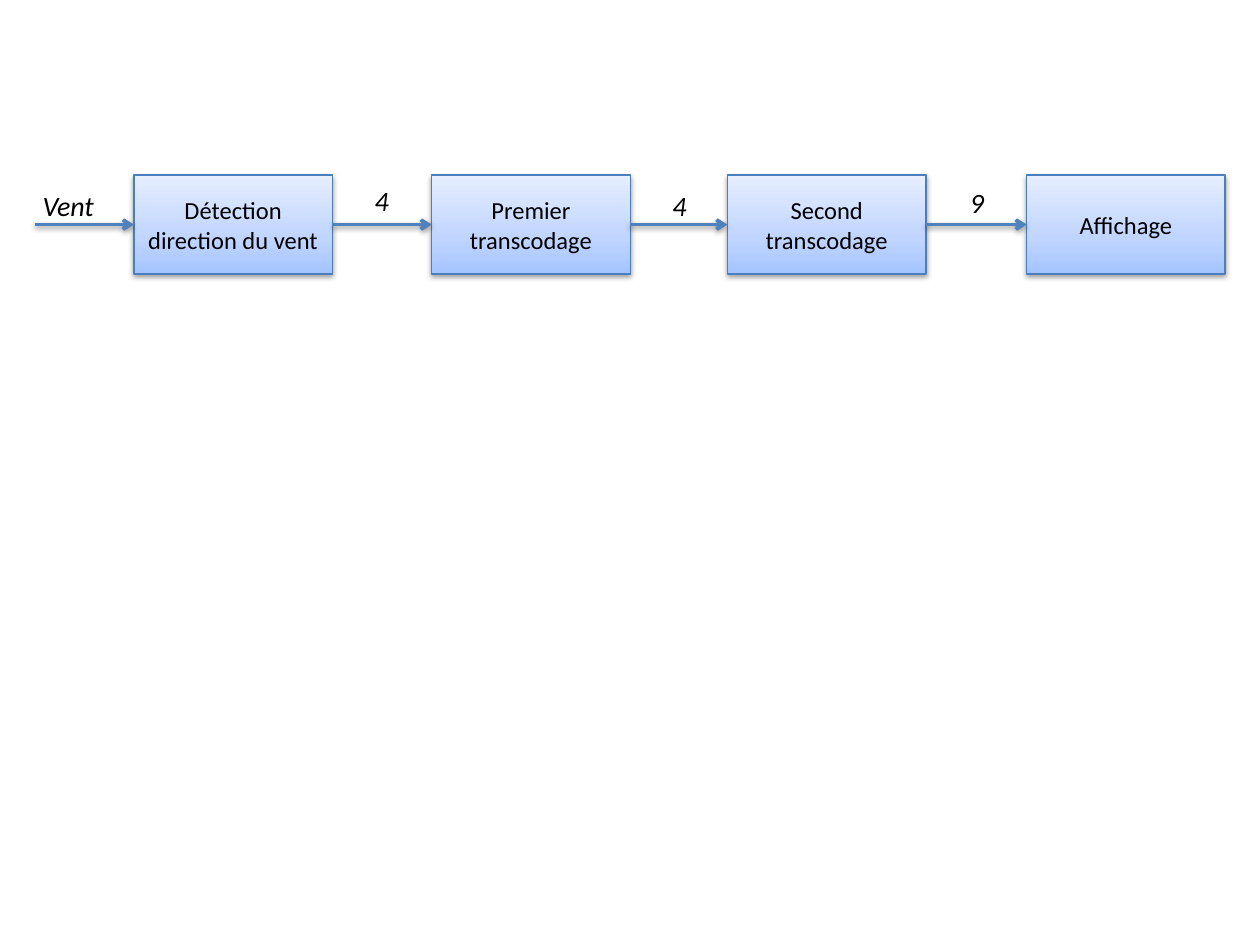
from lxml.etree import SubElement
from pptx import Presentation
from pptx.dml.color import RGBColor as Color
from pptx.enum.shapes import MSO_CONNECTOR as Connector, MSO_SHAPE as Shape
from pptx.enum.text import MSO_ANCHOR as Anchor, MSO_AUTO_SIZE as AutoSize, PP_ALIGN as Align
from pptx.oxml.ns import qn
from pptx.util import Pt

THEME = {
    "font": "Calibri",
    "text": "000000",
    "box_size": 14,
    "label_size": 16,
    "box_line": "4B7EBC",
    "arrow": "4F81BD",
    "shadow": "000000",
    "gradient": [(0, "A4C4FF"), (35, "BFD4FF"), (100, "E6EEFF")],
}


def add_shadow(shape):
    effects = SubElement(shape._element.spPr, qn("a:effectLst"))
    shadow = SubElement(effects, qn("a:outerShdw"), blurRad=str(Pt(3.15)),
                        dist=str(Pt(1.57)), dir="5400000", rotWithShape="0")
    color = SubElement(shadow, qn("a:srgbClr"), val=THEME["shadow"])
    SubElement(color, qn("a:alpha"), val="38000")


def write(shape, text, size, align, italic=False):
    paragraph = shape.text_frame.paragraphs[0]
    paragraph.alignment = align
    run = paragraph.add_run()
    run.text = text
    run.font.name = THEME["font"]
    run.font.size = Pt(size)
    run.font.italic = italic
    run.font.color.rgb = Color.from_string(THEME["text"])


presentation = Presentation()
presentation.slide_width = Pt(720)
presentation.slide_height = Pt(540)
slide = presentation.slides.add_slide(presentation.slide_layouts[6])

BOX_TOP, BOX_WIDTH, BOX_HEIGHT = 100, 113.4, 56.7
ARROW_Y = BOX_TOP + BOX_HEIGHT / 2
LABEL_WIDTH, LABEL_HEIGHT = 102, 26.6

stages = [
    (76.5, "Détection direction du vent"),
    (246.7, "Premier transcodage"),
    (415.7, "Second transcodage"),
    (586.7, "Affichage"),
]
labels = [
    (17.3, 104, "Vent", Align.LEFT),
    (167.2, 101.5, "4", Align.CENTER),
    (337.2, 104, "4", Align.CENTER),
    (507.2, 102.5, "9", Align.CENTER),
]

for left, name in stages:
    box = slide.shapes.add_shape(Shape.RECTANGLE, Pt(left), Pt(BOX_TOP), Pt(BOX_WIDTH), Pt(BOX_HEIGHT))
    box.fill.gradient()
    box.fill.gradient_angle = 90
    stops = box._element.spPr.find(".//" + qn("a:gsLst"))
    for stop in list(stops):
        stops.remove(stop)
    for position, color in THEME["gradient"]:
        stop = SubElement(stops, qn("a:gs"), pos=str(position * 1000))
        SubElement(stop, qn("a:srgbClr"), val=color)
    box.line.color.rgb = Color.from_string(THEME["box_line"])
    box.line.width = Pt(0.75)
    add_shadow(box)
    box.text_frame.word_wrap = True
    box.text_frame.vertical_anchor = Anchor.MIDDLE
    write(box, name, THEME["box_size"], Align.CENTER)

start = 20
for left, name in stages:
    arrow = slide.shapes.add_connector(Connector.STRAIGHT, Pt(start), Pt(ARROW_Y), Pt(left), Pt(ARROW_Y))
    arrow.line.color.rgb = Color.from_string(THEME["arrow"])
    arrow.line.width = Pt(2)
    SubElement(arrow.line._get_or_add_ln(), qn("a:tailEnd"), type="arrow")
    add_shadow(arrow)
    start = left + BOX_WIDTH

for left, top, text, align in labels:
    label = slide.shapes.add_textbox(Pt(left), Pt(top), Pt(LABEL_WIDTH), Pt(LABEL_HEIGHT))
    label.text_frame.word_wrap = True
    label.text_frame.auto_size = AutoSize.SHAPE_TO_FIT_TEXT
    write(label, text, THEME["label_size"], align, italic=True)

presentation.save("out.pptx")
